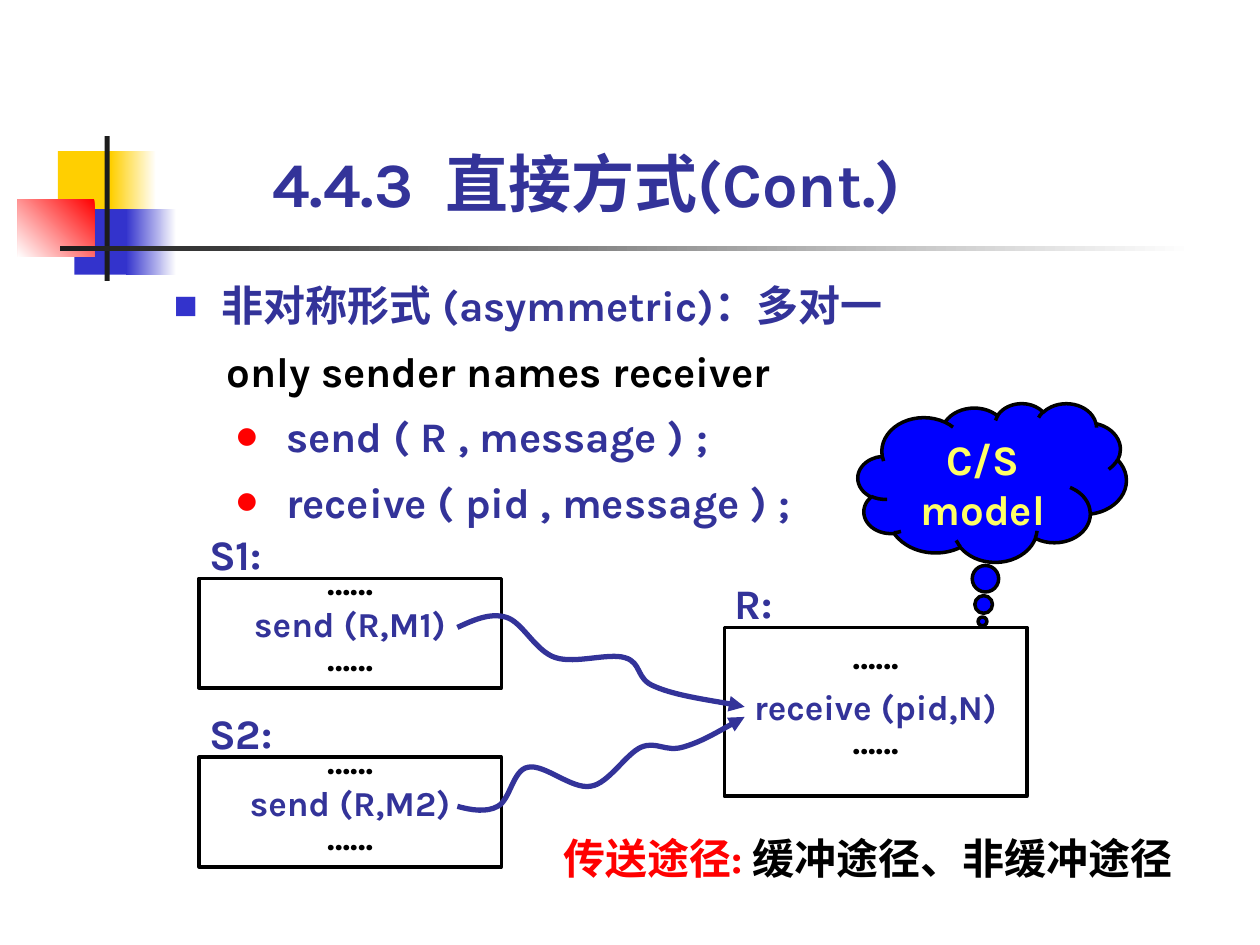
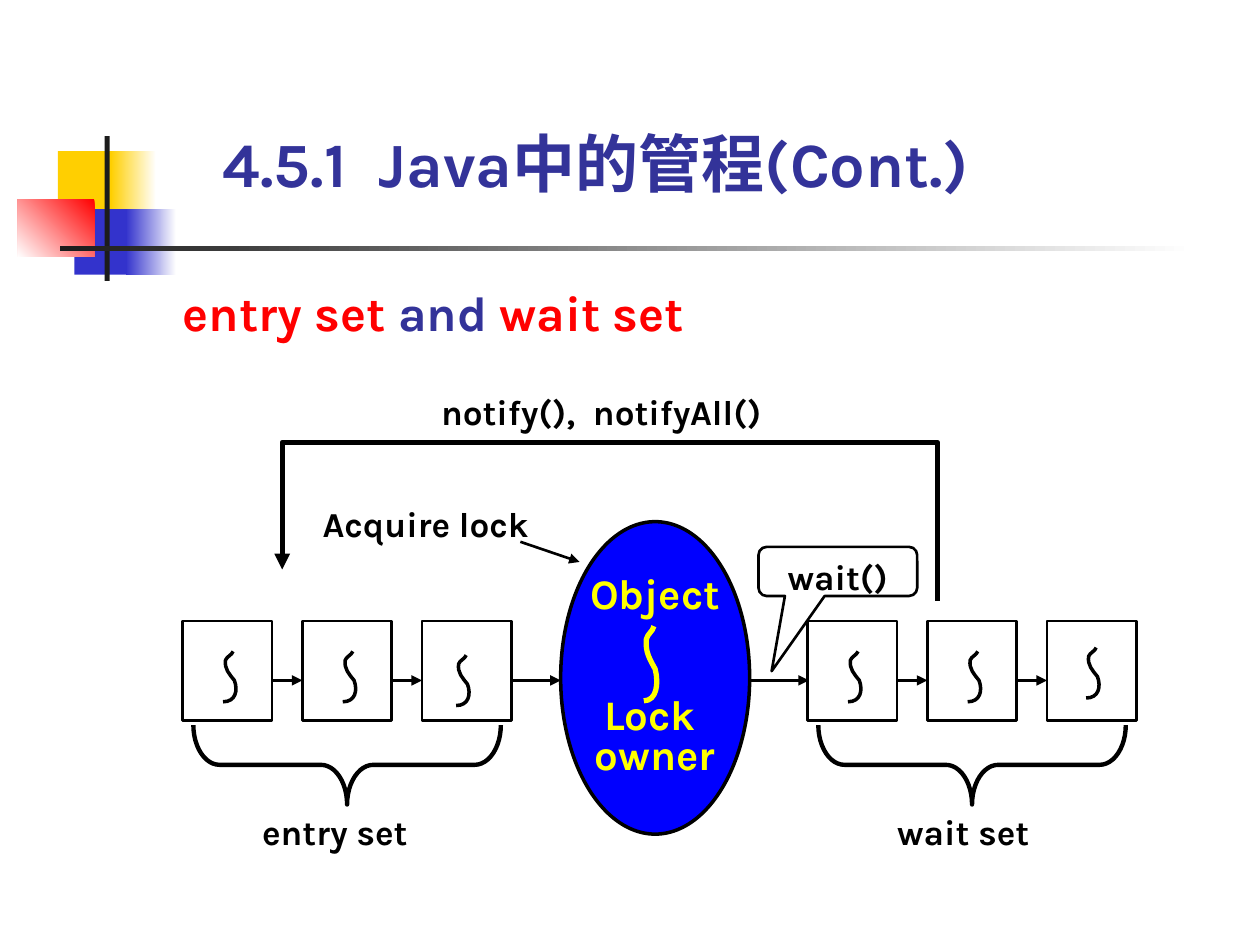
"""Build two slides on direct message passing and on Java monitors."""
from dataclasses import dataclass

from lxml import etree
from pptx import Presentation
from pptx import util as u
from pptx.dml.color import RGBColor
from pptx.enum import shapes, text
from pptx.oxml import ns

FONT = "Karla"
COLORS = {
    "navy": "333399", "black": "000000", "white": "FFFFFF", "red": "FF0000",
    "blue": "0000FF", "royal": "3333CC", "gold": "FFCF01", "ink": "1C1C1C",
    "yellow": "FFFF00", "cream": "FFFF66",
}
SHAPE = shapes.MSO_SHAPE
CENTER = text.PP_ALIGN.CENTER
TOP, MIDDLE, BOTTOM = (text.MSO_ANCHOR.TOP, text.MSO_ANCHOR.MIDDLE,
                       text.MSO_ANCHOR.BOTTOM)
PADDING = (0.1, 0.05, 0.1, 0.05)
NO_PADDING = (0, 0, 0, 0)

Point = tuple[float, float]
Box = tuple[float, float, float, float]


@dataclass
class Band:
    box: Box
    start: str
    end: str = ""
    angle: float = 180


@dataclass
class Process:
    label: str
    call: str
    left: float
    top: float
    height: float
    before: float = 2.5


@dataclass
class ThreadSet:
    name: str
    left: float
    label_left: float
    label_width: float
    squiggles: tuple[Point, Point, Point]


BANDS = [
    Band((0.46, 1.2, 0.48, 0.52), "gold"),
    Band((0.88, 1.2, 0.36, 0.52), "white", "gold"),
    Band((0.59, 1.66, 0.46, 0.52), "royal"),
    Band((1, 1.66, 0.4, 0.52), "white", "royal"),
    Band((0.14, 1.58, 0.61, 0.46), "red", "white", 225),
    Band((0.83, 1.08, 0.04, 1.15), "ink"),
    Band((0.48, 1.95, 9, 0.04), "white", "ink"),
]
PROCESSES = [
    Process("S1:", "send (R,M1)", 1.58, 4.59, 0.87),
    Process("S2:", "send (R,M2)", 1.58, 6.01, 0.87),
    Process("R:", "receive (pid,N)", 5.75, 4.98, 1.34, 7.5),
]
MESSAGE_CURVES = [
    [(3.63, 4.98), (3.76, 4.92), (3.89, 4.86), (4.02, 4.9), (4.15, 4.94),
     (4.25, 5.17), (4.41, 5.22), (4.57, 5.27), (4.83, 5.18), (4.96, 5.22),
     (5.1, 5.26), (5.04, 5.39), (5.2, 5.45), (5.36, 5.52), (5.78, 5.58),
     (5.91, 5.61)],
    [(3.63, 6.4), (3.74, 6.43), (3.86, 6.45), (3.95, 6.4), (4.05, 6.35),
     (4.07, 6.11), (4.19, 6.09), (4.32, 6.06), (4.54, 6.27), (4.69, 6.24),
     (4.83, 6.22), (4.97, 5.98), (5.09, 5.93), (5.21, 5.88), (5.28, 5.97),
     (5.42, 5.93), (5.56, 5.89), (5.73, 5.79), (5.91, 5.69)],
]
THREAD_SETS = [
    ThreadSet("entry set", 1.45, 2.08, 1.49, ((1.77, 5.17), (2.72, 5.17), (3.62, 5.2))),
    ThreadSet("wait set", 6.41, 7.12, 1.26, ((6.73, 5.17), (7.68, 5.17), (8.62, 5.14))),
]
SQUIGGLE = [(0.08, 0), (0.07, 0.03), (0.03, 0.04), (0.02, 0.07), (0.01, 0.14),
            (0.05, 0.18), (0.09, 0.23), (0.12, 0.31), (0.1, 0.4), (0, 0.4)]
CELL_WIDTH, CELL_HEIGHT, CELL_PITCH, CELL_TOP = 0.71, 0.79, 0.95, 4.93
FLOW_Y = 5.4


def rgb(name: str) -> RGBColor:
    """Look up a palette colour."""
    return RGBColor.from_string(COLORS[name])


def emu(values) -> list[int]:
    """Convert inches to lengths."""
    return [u.Inches(v) for v in values]


def style_line(sp, color: str, width: float, arrow: bool = False) -> None:
    """Set the outline of a shape and its arrowhead."""
    sp.line.color.rgb = rgb(color)
    sp.line.width = u.Pt(width)
    if arrow:
        ln = sp.line._get_or_add_ln()
        etree.SubElement(ln, ns.qn("a:tailEnd"), type="triangle")


def frame(sp, padding: Box, anchor, wrap: bool = True):
    """Prepare the text frame of a shape."""
    tf = sp.text_frame
    tf.margin_left, tf.margin_top, tf.margin_right, tf.margin_bottom = emu(padding)
    tf.vertical_anchor = anchor
    tf.word_wrap = wrap
    return tf


def text_box(s, box: Box, padding: Box = NO_PADDING, anchor=TOP):
    """Add a text box that grows with its text."""
    tf = frame(s.shapes.add_textbox(*emu(box)), padding, anchor)
    tf.auto_size = text.MSO_AUTO_SIZE.SHAPE_TO_FIT_TEXT
    return tf


def write(tf, content: str, *, size: float = 24, color: str = "navy",
          same: bool = False, align=None, spacing: float | None = None,
          before: float = 0, after: float = 0, margin: float = 0,
          indent: float = 0, bullet: tuple[str, str, int] | None = None) -> None:
    """Add a paragraph, or a run to the last paragraph if same is set."""
    p = tf.paragraphs[-1]
    if not same:
        if p.runs:
            p = tf.add_paragraph()
        pPr = p._p.get_or_add_pPr()
        pPr.set("marL", str(u.Inches(margin)))
        pPr.set("indent", str(u.Inches(indent)))
        if bullet:
            char, bullet_color, percent = bullet
            clr = etree.SubElement(pPr, ns.qn("a:buClr"))
            etree.SubElement(clr, ns.qn("a:srgbClr"), val=COLORS[bullet_color])
            etree.SubElement(pPr, ns.qn("a:buSzPct"), val=str(percent * 1000))
            etree.SubElement(pPr, ns.qn("a:buFont"), typeface=FONT)
            etree.SubElement(pPr, ns.qn("a:buChar"), char=char)
        p.alignment = align
        p.line_spacing = spacing
        p.space_before, p.space_after = u.Pt(before), u.Pt(after)
    r = p.add_run()
    r.text = content
    r.font.size, r.font.bold, r.font.name = u.Pt(size), True, FONT
    r.font.color.rgb = rgb(color)
    etree.SubElement(r._r.get_or_add_rPr(), ns.qn("a:ea"), typeface=FONT)


def shape(s, kind, box: Box, fill: str = "", line: float = 0, adj=()):
    """Add a preset shape with a black outline where a width is given."""
    sp = s.shapes.add_shape(kind, *emu(box))
    sp.shadow.inherit = False
    for i, value in enumerate(adj):
        sp.adjustments[i] = value
    if fill:
        sp.fill.solid()
        sp.fill.fore_color.rgb = rgb(fill)
    else:
        sp.fill.background()
    if line:
        style_line(sp, "black", line)
    else:
        sp.line.fill.background()
    return sp


def arrow(s, start: Point, end: Point, width: float = 2) -> None:
    """Add a straight black arrow."""
    c = s.shapes.add_connector(shapes.MSO_CONNECTOR.STRAIGHT, *emu(start + end))
    style_line(c, "black", width, arrow=True)
    etree.SubElement(c._element.spPr, ns.qn("a:effectLst"))


def outline(s, pts: list[Point], color: str, width: float,
            head: bool = False, curved: bool = True) -> None:
    """Draw an open path, with each three points a Bezier segment if curved."""
    first, *rest = [tuple(emu(pt)) for pt in pts]
    fb = s.shapes.build_freeform(*first)
    fb.add_line_segments(rest, close=False)
    sp = fb.convert_to_shape()
    sp.shadow.inherit = False
    sp.fill.background()
    style_line(sp, color, width, head)
    if curved:
        steps = list(sp._element.iter(ns.qn("a:lnTo")))
        for i in range(0, len(steps), 3):
            bezier = etree.SubElement(steps[i].getparent(), ns.qn("a:cubicBezTo"))
            for step in steps[i:i + 3]:
                bezier.append(step[0])
                step.getparent().remove(step)


def squiggle(s, left: float, top: float, color: str = "black",
             width: float = 2, stretch: float = 1) -> None:
    """Draw the sign of a thread."""
    outline(s, [(left + x, top + y * stretch) for x, y in SQUIGGLE], color, width)


def new_slide(prs, title: str, box: Box):
    """Add a slide with the corner bands and a title."""
    s = prs.slides.add_slide(prs.slide_layouts[6])
    for band in BANDS:
        sp = shape(s, SHAPE.RECTANGLE, band.box, band.start)
        if band.end:
            sp.fill.gradient()
            sp.fill.gradient_angle = band.angle
            for stop, color in zip(sp.fill.gradient_stops, (band.start, band.end)):
                stop.color.rgb = rgb(color)
    write(text_box(s, box, anchor=BOTTOM), title, size=36)
    return s


def draw_process(s, proc: Process) -> None:
    """Draw a labelled process box with its call."""
    sp = shape(s, SHAPE.RECTANGLE, (proc.left, proc.top, 2.4, proc.height), "white", 2)
    tf = frame(sp, (0, 0, 0, 0.16), MIDDLE, wrap=False)
    fmt = dict(size=20, align=CENTER, spacing=0.8)
    write(tf, "……", color="black", after=2.5, **fmt)
    write(tf, proc.call, before=proc.before, **fmt)
    write(tf, "……", color="black", **fmt)
    tf = text_box(s, (proc.left + 0.08, proc.top - 0.32, 0.55, 0.32))
    write(tf, proc.label, spacing=0.8)


def label(s, content: str, box: Box) -> None:
    """Write a black caption."""
    write(text_box(s, box), content, size=20, color="black")


def draw_thread_set(s, group: ThreadSet) -> None:
    """Draw a row of three threads with its brace and name."""
    for i, spot in enumerate(group.squiggles):
        left = group.left + i * CELL_PITCH
        shape(s, SHAPE.RECTANGLE, (left, CELL_TOP, CELL_WIDTH, CELL_HEIGHT), "white", 1.5)
        squiggle(s, *spot)
        if i:
            arrow(s, (left - CELL_PITCH + CELL_WIDTH, FLOW_Y), (left, FLOW_Y))
    brace = shape(s, SHAPE.LEFT_BRACE, (group.left + 0.99, 4.85, 0.63, 2.44),
                  line=2.5, adj=(0.33, 0.5))
    brace.rotation = 270
    label(s, group.name, (group.label_left, 6.43, group.label_width, 0.33))


def direct_slide(prs) -> None:
    """Build the slide on asymmetric direct communication."""
    s = new_slide(prs, "4.4.3  直接方式(Cont.)", (2.16, 1.15, 5.59, 0.6))
    tf = text_box(s, (1.38, 2.1, 6.22, 2.08))
    write(tf, "非对称形式 (asymmetric)：多对一", spacing=1.3, margin=0.38,
          indent=-0.38, bullet=("■", "royal", 60))
    write(tf, "only sender names receiver", color="black", spacing=1.3, margin=0.42)
    for call in ("send ( R , message ) ;", "receive ( pid , message ) ;"):
        write(tf, call, spacing=1.3, margin=0.89, indent=-0.39, bullet=("●", "red", 55))
    for proc in PROCESSES:
        draw_process(s, proc)
    for curve in MESSAGE_CURVES:
        outline(s, curve, "navy", 3, head=True)
    tf = text_box(s, (4.37, 6.56, 5.12, 0.9), PADDING)
    write(tf, "传送途径: ", color="red")
    write(tf, "缓冲途径、非缓冲途径", color="black", same=True)
    cloud = shape(s, SHAPE.CLOUD_CALLOUT, (6.81, 3.2, 2.13, 1.26), "blue", 2,
                  (-0.036, 0.875))
    write(frame(cloud, PADDING, TOP), "C/S model", color="cream", align=CENTER)


def monitor_slide(prs) -> None:
    """Build the slide on the entry set and the wait set."""
    s = new_slide(prs, "4.5.1  Java中的管程(Cont.)", (1.77, 0.39, 6.46, 1.2))
    tf = text_box(s, (1.45, 2.24, 5.12, 0.47), anchor=BOTTOM)
    write(tf, "entry set", size=28, color="red")
    write(tf, " and ", size=28, same=True)
    write(tf, "wait set", size=28, color="red", same=True)
    owner = shape(s, SHAPE.OVAL, (4.45, 4.14, 1.5, 2.48), "blue", 2)
    tf = frame(owner, PADDING, MIDDLE, wrap=False)
    for word, before in (("Object", 0), ("Lock ", 46), ("owner", 0)):
        write(tf, word, color="yellow", align=CENTER, spacing=0.8, before=before)
    for group in THREAD_SETS:
        draw_thread_set(s, group)
    squiggle(s, 5.11, 4.97, "yellow", 3, 1.48)
    arrow(s, (4.05, FLOW_Y), (4.45, FLOW_Y))
    arrow(s, (5.94, FLOW_Y), (6.42, FLOW_Y))
    label(s, "Acquire lock", (2.56, 3.99, 1.89, 0.33))
    outline(s, [(7.44, 4.77), (7.44, 3.51), (2.24, 3.51), (2.24, 4.52)],
            "black", 3, head=True, curved=False)
    label(s, "notify(),  notifyAll()", (3.5, 3.1, 3.15, 0.33))
    wait = shape(s, SHAPE.ROUNDED_RECTANGULAR_CALLOUT, (6.02, 4.34, 1.26, 0.39),
                 line=1.5, adj=(-0.417, 2.029, 0.167))
    write(frame(wait, PADDING, TOP), "wait()", size=20, color="black", align=CENTER)
    arrow(s, (4.13, 4.3), (4.6, 4.46), 1.5)


def main() -> None:
    """Create and save the deck."""
    prs = Presentation()
    prs.slide_width, prs.slide_height = u.Inches(10), u.Inches(7.5)
    direct_slide(prs)
    monitor_slide(prs)
    prs.save("out.pptx")


if __name__ == "__main__":
    main()
